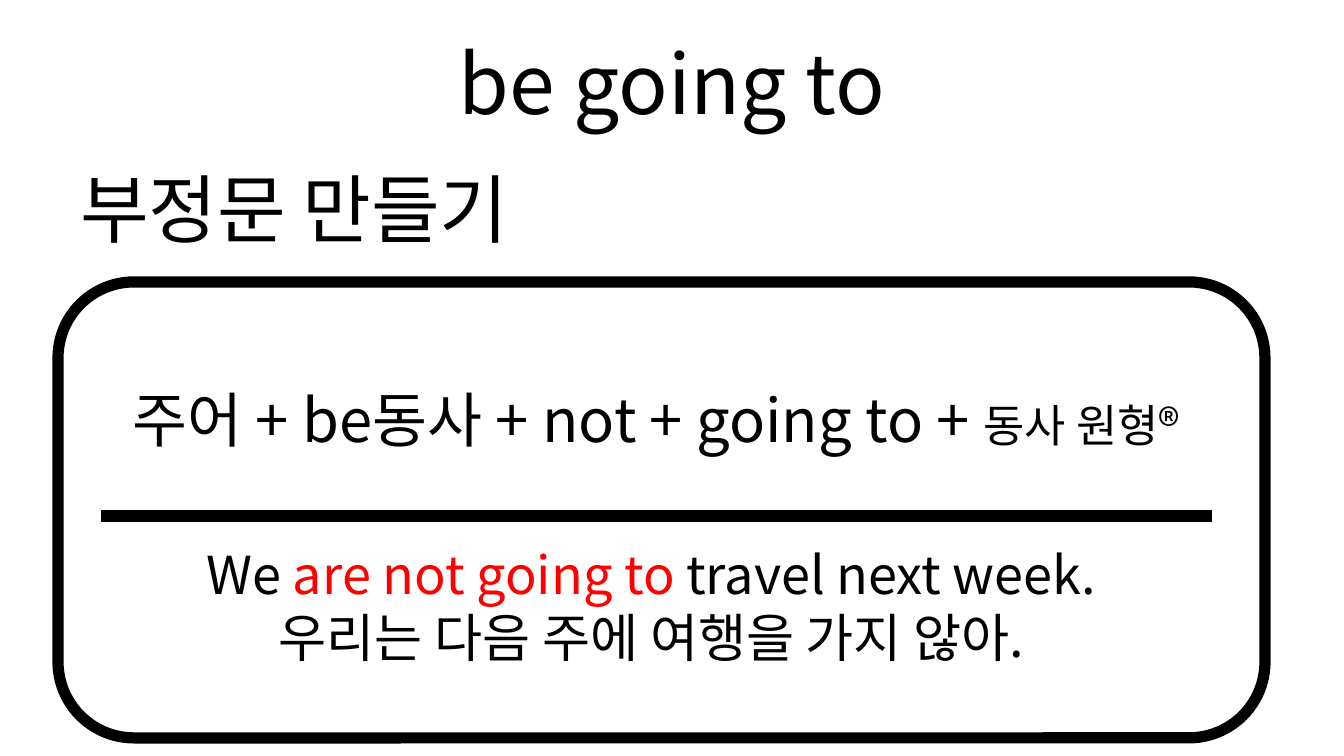
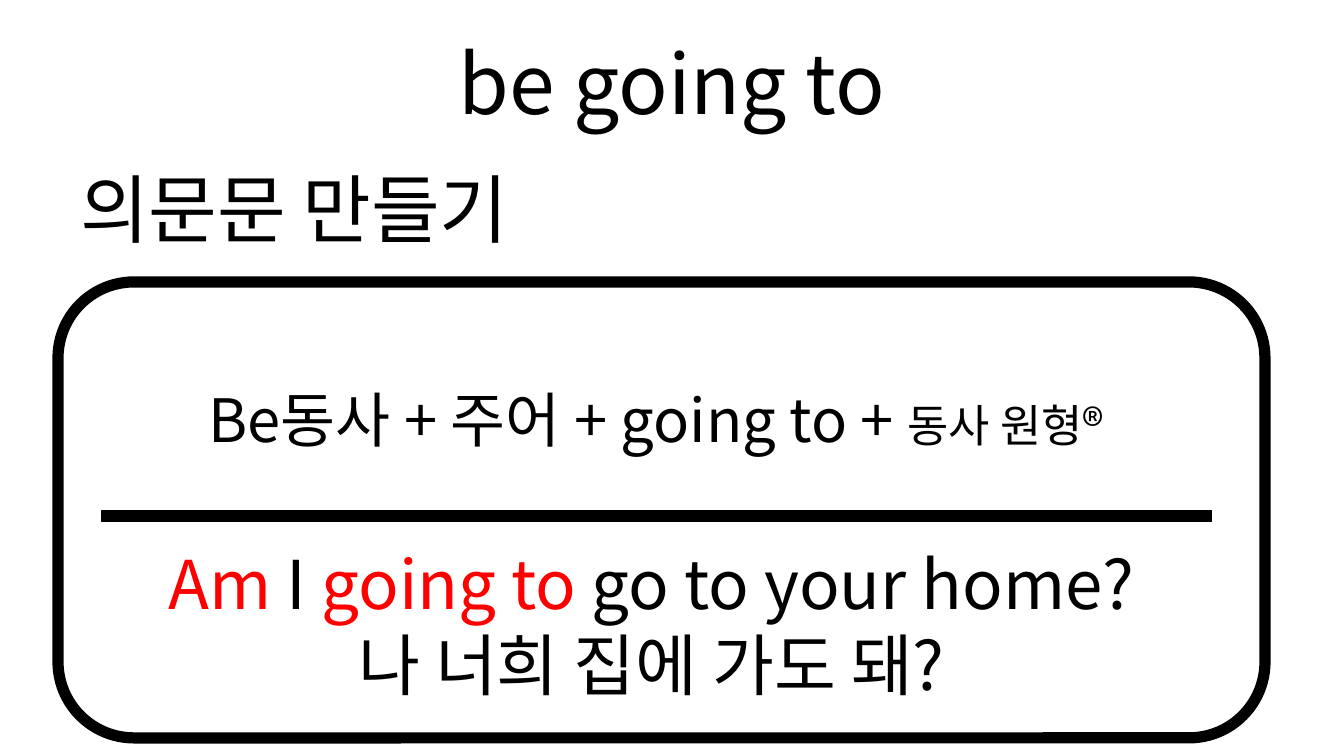
import pptx
import pptx.util
import pptx.dml.color
import pptx.enum.shapes
import pptx.enum.text
import pptx.oxml.ns
from lxml import etree

PX = 914400 / 134.4
FONT = "Noto Sans CJK KR"
COLORS = {"ink": "000000", "paper": "FFFFFF", "accent": "FF0000"}
RGB = {k: pptx.dml.color.RGBColor.from_string(v) for k, v in COLORS.items()}
ALIGN = pptx.enum.text.PP_ALIGN
ANCHOR = pptx.enum.text.MSO_ANCHOR
qn = pptx.oxml.ns.qn


def px(*values):
    return [pptx.util.Emu(round(v * PX)) for v in values]


def write(sp, paragraphs, align=ALIGN.CENTER, anchor=ANCHOR.TOP, before=0):
    tf = sp.text_frame
    frame = {"word_wrap": True, "auto_size": pptx.enum.text.MSO_AUTO_SIZE.NONE,
             "vertical_anchor": anchor}
    for name, value in frame.items():
        setattr(tf, name, value)
    for i, runs in enumerate(paragraphs):
        p = tf.add_paragraph() if i else tf.paragraphs[0]
        p.alignment = align
        p.space_before = pptx.util.Pt(before)
        for text, size, color in runs:
            r = p.add_run()
            r.text = text
            for name, value in {"name": FONT, "size": pptx.util.Pt(size)}.items():
                setattr(r.font, name, value)
            r.font.color.rgb = RGB[color]
            etree.SubElement(r.font._element, qn("a:ea"), typeface=FONT)


slides = [
    {
        "heading": "부정문 만들기",
        "formula": "주어 + be동사 + not + going to + ",
        "size": 28,
        "height": 140,
        "example": [("We ", "ink"), ("are not going to", "accent"),
                    (" travel next week.", "ink")],
        "meaning": "우리는 다음 주에 여행을 가지 않아.",
    },
    {
        "heading": "의문문 만들기",
        "formula": "Be동사 + 주어 + going to + ",
        "size": 36,
        "height": 176,
        "example": [("Am ", "accent"), ("I", "ink"), (" going to", "accent"),
                    (" go to your home?", "ink")],
        "meaning": "나 너희 집에 가도 돼?",
    },
]

prs = pptx.Presentation()
prs.slide_width, prs.slide_height = px(1344, 756)

for item in slides:
    s = prs.slides.add_slide(prs.slide_layouts[5])

    title = s.shapes.title
    title.left, title.top, title.width, title.height = px(67, 19, 1210, 126)
    write(title, [[("be going to", 44, "ink")]], anchor=ANCHOR.MIDDLE)

    heading = s.shapes.add_textbox(*px(67, 156, 1210, 600))
    write(heading, [[(item["heading"], 40, "ink")]], align=ALIGN.LEFT, before=8)

    panel = s.shapes.add_shape(
        pptx.enum.shapes.MSO_SHAPE.ROUNDED_RECTANGLE, *px(58, 282, 1207, 456))
    panel.shadow.inherit = False
    panel.fill.solid()
    panel.fill.fore_color.rgb = RGB["paper"]

    formula = s.shapes.add_textbox(*px(79, 376, 1154, 86))
    write(formula, [[(item["formula"], 32, "ink"), ("동사 원형®", 24, "ink")]])

    divider = s.shapes.add_connector(
        pptx.enum.shapes.MSO_CONNECTOR.STRAIGHT, *px(101, 516, 1212, 516))
    etree.SubElement(divider._element.spPr, qn("a:effectLst"))

    for sp in (panel, divider):
        sp.line.color.rgb = RGB["ink"]
        sp.line.width = pptx.util.Pt(6)

    example = s.shapes.add_textbox(*px(101, 536, 1101, item["height"]))
    write(example, [
        [(text, item["size"], color) for text, color in item["example"]],
        [(item["meaning"], item["size"], "ink")],
    ])

prs.save("out.pptx")
